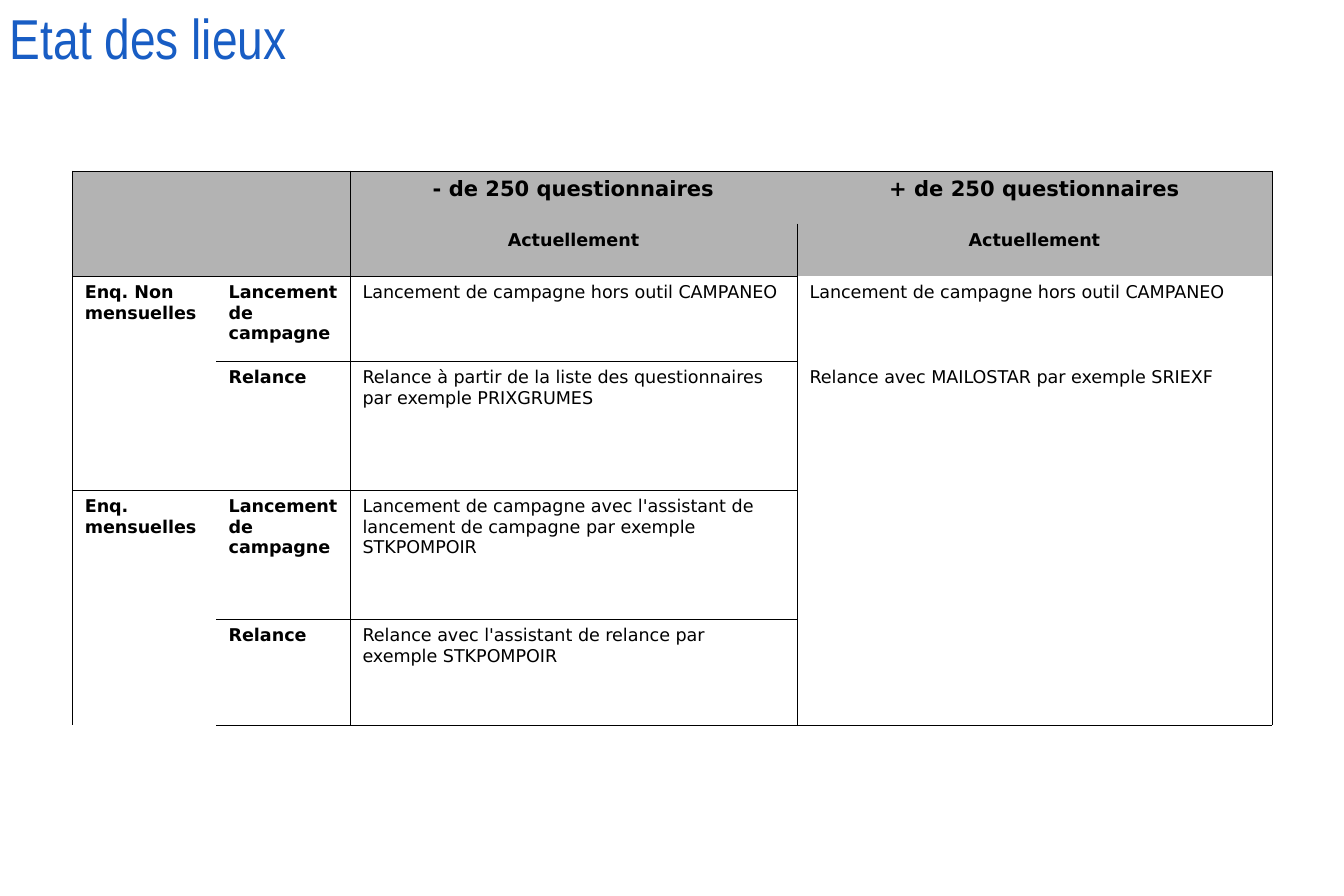
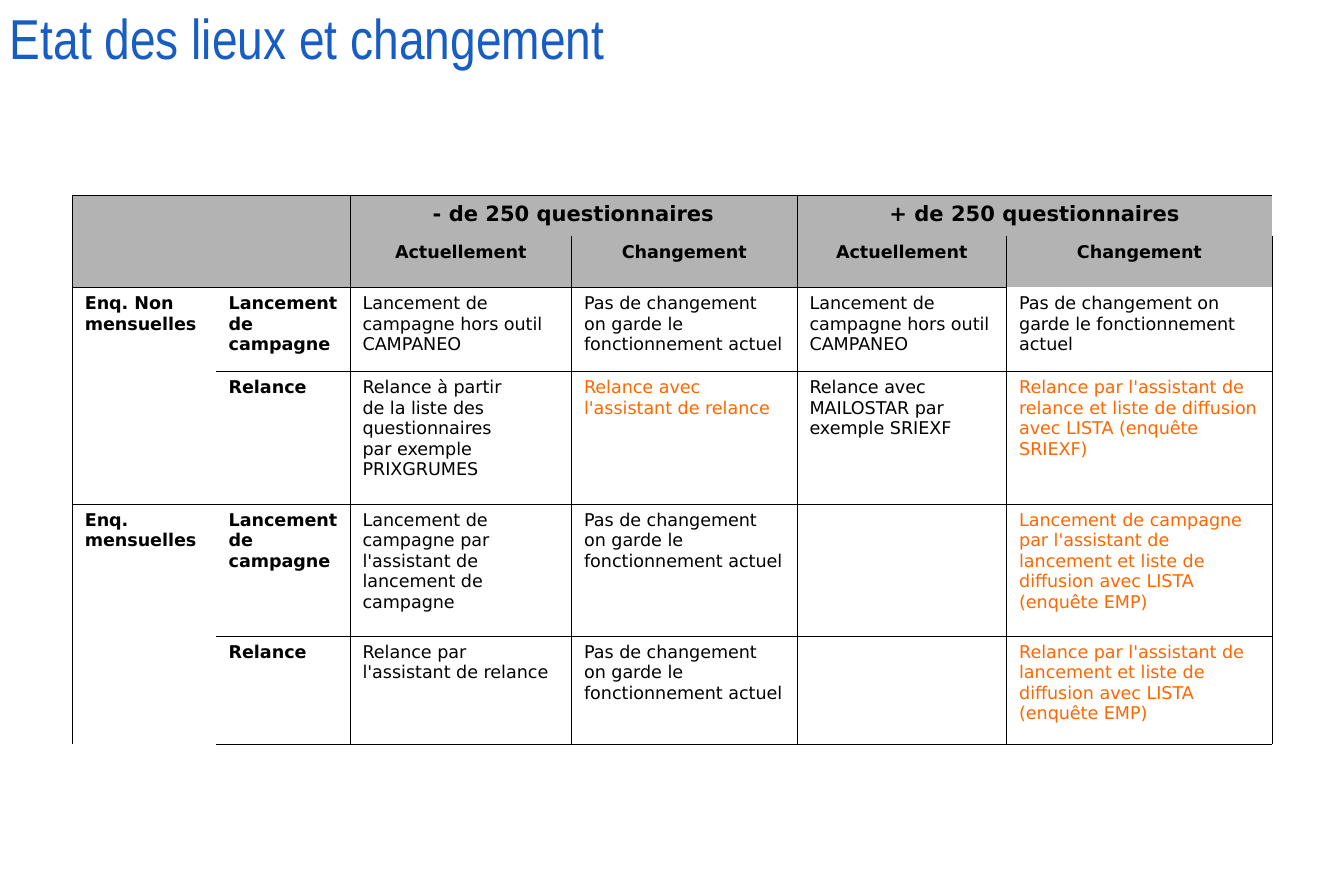
from lxml import etree
from pptx import Presentation
from pptx.dml.color import RGBColor
from pptx.enum.text import MSO_ANCHOR as Anchor, PP_ALIGN as Align
from pptx.oxml import parse_xml
from pptx.oxml.ns import nsdecls, qn
from pptx.util import Cm, Pt

BLUE = RGBColor(0x18, 0x5D, 0xC4)
GREY = RGBColor(0xB3, 0xB3, 0xB3)
BLACK = RGBColor(0, 0, 0)
ORANGE = RGBColor(0xFF, 0x66, 0x00)
TITLE_FONT, TABLE_FONT = "Arial Narrow", "DejaVu Sans"
NO_GRID_STYLE = "{2D5ABB26-0587-4C30-8999-92F81FD0307C}"
HEADER_ROWS = LABEL_COLUMNS = 2
LABEL_WIDTHS = [2.89, 2.69]

# Wording shared by the slides
SMALL, LARGE = "- de 250 questionnaires", "+ de 250 questionnaires"
NOW, CHANGE = "Actuellement", "Changement"
LAUNCH, REMINDER = "Lancement de campagne", "Relance"
QUARTERLY, MONTHLY = "Enq. Non mensuelles", "Enq. mensuelles"
OUTSIDE_TOOL = "Lancement de campagne hors outil CAMPANEO"
MAILING = "Relance avec MAILOSTAR par exemple SRIEXF"
UNCHANGED = "Pas de changement\non garde le fonctionnement actuel"
LIST = "par l'assistant de lancement et liste de diffusion avec LISTA (enquête EMP)"

# Ruled lines are (grid index, first cell, end cell)
SLIDES = [
    {
        "title": "Etat des lieux",
        "top": 3.43,
        "widths": [8.98, 9.54],
        "heights": [1.06, 1.06, 1.71, 2.59, 2.59, 2.13],
        "merges": [],
        "orange": set(),
        "across": [(0, 0, 4), (2, 0, 3), (3, 1, 3), (4, 0, 3), (5, 1, 3), (6, 1, 4)],
        "down": [(0, 0, 6), (2, 0, 6), (3, 1, 6), (4, 0, 6)],
        "rows": [
            ["", "", SMALL, LARGE],
            ["", "", NOW, NOW],
            [QUARTERLY, LAUNCH, OUTSIDE_TOOL, OUTSIDE_TOOL],
            ["", REMINDER,
             "Relance à partir de la liste des questionnaires par exemple PRIXGRUMES",
             MAILING],
            [MONTHLY, LAUNCH,
             "Lancement de campagne avec l'assistant de lancement de campagne "
             "par exemple STKPOMPOIR", ""],
            ["", REMINDER,
             "Relance avec l'assistant de relance par exemple STKPOMPOIR", ""],
        ],
    },
    {
        "title": "Etat des lieux et changement",
        "top": 3.92,
        "widths": [4.45, 4.53, 4.21, 5.34],
        "heights": [0.82, 1.03, 1.69, 2.66, 2.65, 2.17],
        "merges": [(0, 2, 0, 3), (0, 4, 0, 5)],
        "orange": {(3, 3), (3, 5), (4, 5), (5, 5)},
        "across": [(0, 0, 6), (2, 0, 5), (3, 1, 6), (4, 0, 6), (5, 1, 5), (6, 1, 6)],
        "down": [(0, 0, 6), (2, 0, 6), (3, 1, 6), (4, 0, 6), (5, 2, 5), (6, 1, 6)],
        "rows": [
            ["", "", SMALL, "", LARGE, ""],
            ["", "", NOW, CHANGE, NOW, CHANGE],
            [QUARTERLY, LAUNCH, OUTSIDE_TOOL, UNCHANGED, OUTSIDE_TOOL,
             "Pas de changement on garde le fonctionnement actuel"],
            ["", REMINDER,
             "Relance à partir\nde la liste des questionnaires\npar exemple PRIXGRUMES",
             "Relance avec l'assistant de relance", MAILING,
             "Relance par l'assistant de relance et liste de diffusion "
             "avec LISTA (enquête SRIEXF)"],
            [MONTHLY, LAUNCH,
             "Lancement de campagne par l'assistant de lancement de campagne",
             UNCHANGED, "", f"Lancement de campagne {LIST}"],
            ["", REMINDER, "Relance par l'assistant de relance", UNCHANGED, "",
             f"Relance {LIST}"],
        ],
    },
]


def style_paragraph(para, font, size, color, bold=False):
    para.font.name = font
    para.font.size = Pt(size)
    para.font.color.rgb = color
    para.font.bold = bold


def add_borders(cell, sides):
    properties = cell._tc.get_or_add_tcPr()
    for side in sides:
        properties.append(parse_xml(
            f'<a:ln{side} {nsdecls("a")} w="762"><a:solidFill>'
            f'<a:srgbClr val="{BLACK}"/></a:solidFill></a:ln{side}>'))


deck = Presentation()
deck.slide_width, deck.slide_height = Cm(27), Cm(18)

for content in SLIDES:
    page = deck.slides.add_slide(deck.slide_layouts[6])

    # Title
    box = page.shapes.add_textbox(Cm(0.2), Cm(-0.13), Cm(25), Cm(1.55))
    frame = box.text_frame
    frame.word_wrap = True
    frame.vertical_anchor = Anchor.BOTTOM
    frame.margin_left = frame.margin_right = frame.margin_top = frame.margin_bottom = 0
    frame.text = content["title"]
    style_paragraph(frame.paragraphs[0], TITLE_FONT, 32, BLUE)

    # Table grid
    rows, heights = content["rows"], content["heights"]
    widths = LABEL_WIDTHS + content["widths"]
    table = page.shapes.add_table(
        len(rows), len(widths), Cm(1.45), Cm(content["top"]),
        Cm(sum(widths)), Cm(sum(heights))).table
    table.first_row = table.horz_banding = False
    table._tbl.tblPr.find(qn("a:tableStyleId")).text = NO_GRID_STYLE
    for column, width in zip(table.columns, widths):
        column.width = Cm(width)
    for row, height in zip(table.rows, heights):
        row.height = Cm(height)

    # Ruled lines, held by the cells on both sides
    across = {(line, c) for line, first, end in content["across"] for c in range(first, end)}
    down = {(line, r) for line, first, end in content["down"] for r in range(first, end)}

    # Cells
    for r, texts in enumerate(rows):
        for c, text in enumerate(texts):
            cell = table.cell(r, c)
            ruled = {"L": (c, r) in down, "R": (c + 1, r) in down,
                     "T": (r, c) in across, "B": (r + 1, c) in across}
            add_borders(cell, [side for side, drawn in ruled.items() if drawn])
            header = r < HEADER_ROWS
            if header:
                cell.fill.solid()
                cell.fill.fore_color.rgb = GREY
            else:
                cell.fill.background()
            cell.text = text
            color = ORANGE if (r, c) in content["orange"] else BLACK
            for para in cell.text_frame.paragraphs:
                style_paragraph(para, TABLE_FONT, 12 if r == 0 else 10, color,
                                header or c < LABEL_COLUMNS)
                para.alignment = Align.CENTER if header else Align.LEFT

    # Merged cells
    for top, left, bottom, right in [(0, 0, 1, 1), (2, 0, 3, 0), (4, 0, 5, 0)] + content["merges"]:
        table.cell(top, left).merge(table.cell(bottom, right))

deck.save("out.pptx")
